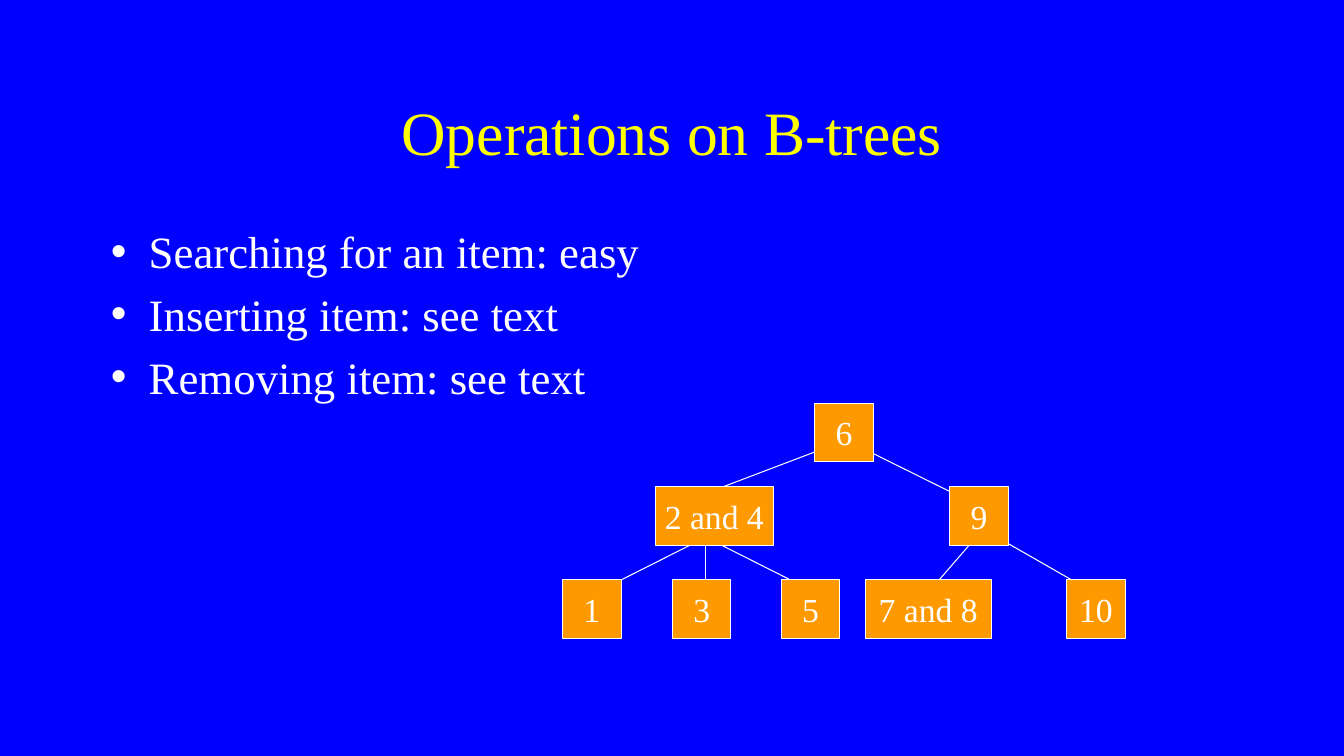
from pptx import Presentation
from pptx.dml.color import RGBColor
from pptx.enum.shapes import MSO_CONNECTOR, MSO_SHAPE
from pptx.enum.text import MSO_ANCHOR, PP_ALIGN
from pptx.oxml.ns import qn
from pptx.util import Inches, Pt
from lxml.etree import SubElement

NODE_SIZE = 0.58
ROOT_TOP, MIDDLE_TOP, LEAF_TOP = 4, 4.83, 5.75

# Label, left, top, width
NODES = [
    ("6", 8.08, ROOT_TOP, NODE_SIZE),
    ("2 and 4", 6.5, MIDDLE_TOP, 1.17),
    ("9", 9.42, MIDDLE_TOP, NODE_SIZE),
    ("1", 5.58, LEAF_TOP, NODE_SIZE),
    ("3", 6.67, LEAF_TOP, NODE_SIZE),
    ("5", 7.75, LEAF_TOP, NODE_SIZE),
    ("7 and 8", 8.58, LEAF_TOP, 1.25),
    ("10", 10.58, LEAF_TOP, NODE_SIZE),
]

# Start x, start y, end x, end y; the nodes cover the inner ends
BRANCHES = [
    (8.25, 4.42, 7.17, 4.83),
    (8.5, 4.42, 9.67, 5),
    (7, 5.33, 5.83, 5.92),
    (7, 5.25, 7, 5.92),
    (7, 5.33, 8.17, 5.92),
    (9.75, 5.25, 9.17, 5.92),
    (9.75, 5.25, 10.92, 5.92),
]


def color(hex_value):
    return RGBColor.from_string(hex_value)


class TreeSlide:
    font_name = "Times New Roman"
    background = "0000FF"
    title_color = "FFFF00"
    foreground = "FFFFFF"
    node_fill = "FF9900"

    def __init__(self, presentation):
        self.slide = presentation.slides.add_slide(presentation.slide_layouts[1])
        fill = self.slide.background.fill
        fill.solid()
        fill.fore_color.rgb = color(self.background)

    def format_text(self, text_frame, size, text_color):
        for paragraph in text_frame.paragraphs:
            for run in paragraph.runs:
                run.font.name = self.font_name
                run.font.size = Pt(size)
                run.font.color.rgb = color(text_color)

    def place(self, shape, left, top, width, height):
        shape.left, shape.top = Inches(left), Inches(top)
        shape.width, shape.height = Inches(width), Inches(height)

    def title(self, text):
        shape = self.slide.shapes.title
        self.place(shape, 1, 0.67, 11.33, 1.25)
        shape.text_frame.text = text
        shape.text_frame.vertical_anchor = MSO_ANCHOR.MIDDLE
        shape.text_frame.paragraphs[0].alignment = PP_ALIGN.CENTER
        self.format_text(shape.text_frame, 44, self.title_color)

    def bullets(self, items):
        shape = self.slide.placeholders[1]
        self.place(shape, 1, 2.17, 11.33, 4.5)
        shape.text_frame.text = "\n".join(items)
        self.format_text(shape.text_frame, 32, self.foreground)

    def outline(self, line):
        line.color.rgb = color(self.foreground)
        line.width = Pt(0.75)

    def branch(self, start_x, start_y, end_x, end_y):
        connector = self.slide.shapes.add_connector(
            MSO_CONNECTOR.STRAIGHT,
            Inches(start_x), Inches(start_y), Inches(end_x), Inches(end_y),
        )
        self.outline(connector.line)
        SubElement(connector._element.spPr, qn("a:effectLst"))

    def node(self, label, left, top, width):
        shape = self.slide.shapes.add_shape(
            MSO_SHAPE.RECTANGLE,
            Inches(left), Inches(top), Inches(width), Inches(NODE_SIZE),
        )
        shape.shadow.inherit = False
        shape.fill.solid()
        shape.fill.fore_color.rgb = color(self.node_fill)
        self.outline(shape.line)
        text_frame = shape.text_frame
        text_frame.text = label
        text_frame.word_wrap = False
        text_frame.vertical_anchor = MSO_ANCHOR.MIDDLE
        text_frame.paragraphs[0].alignment = PP_ALIGN.CENTER
        self.format_text(text_frame, 24, self.foreground)


def main():
    presentation = Presentation()
    presentation.slide_width = Inches(13.33)
    presentation.slide_height = Inches(7.5)

    tree_slide = TreeSlide(presentation)
    tree_slide.title("Operations on B-trees")
    tree_slide.bullets([
        "Searching for an item: easy",
        "Inserting item: see text",
        "Removing item: see text",
    ])
    for branch in BRANCHES:
        tree_slide.branch(*branch)
    for node in NODES:
        tree_slide.node(*node)

    presentation.save("out.pptx")


if __name__ == "__main__":
    main()
